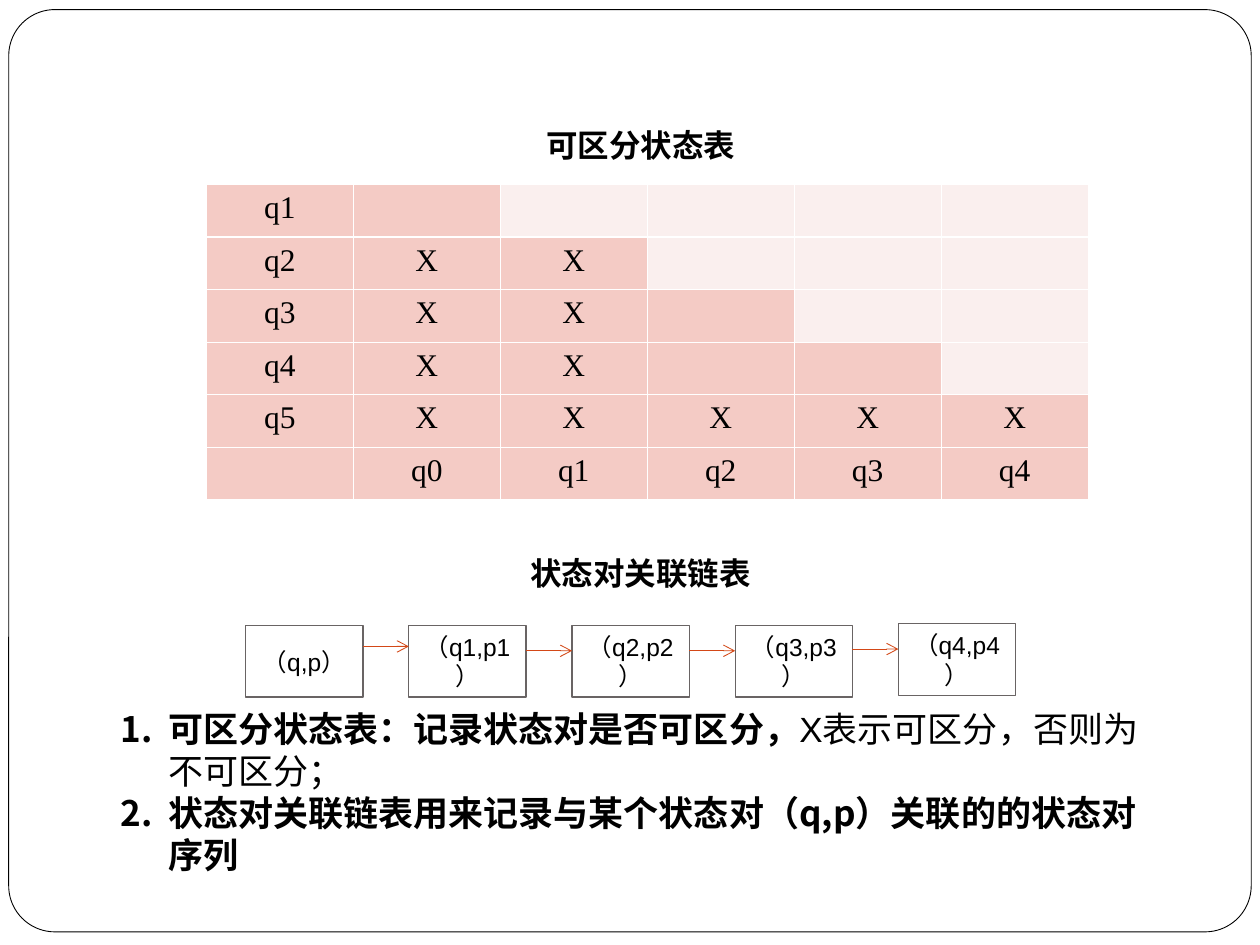
from pptx import Presentation
from pptx.dml.color import RGBColor
from pptx.enum import shapes, text
from pptx.oxml import parse_xml
from pptx.oxml import ns
from pptx.util import Pt

COLORS = {
    "paper": "FFFFFF", "ink": "000000", "marked": "F4CBC5",
    "unmarked": "FAEFEE", "box": "696464", "arrow": "D34817",
}
SANS, SERIF, CJK = "Arial", "Times New Roman", "Noto Sans CJK SC"
STATE_ROWS = [
    ["q1", "", "", "", "", ""],
    ["q2", "X", "X", "", "", ""],
    ["q3", "X", "X", "", "", ""],
    ["q4", "X", "X", "", "", ""],
    ["q5", "X", "X", "X", "X", "X"],
    ["", "q0", "q1", "q2", "q3", "q4"],
]
PAIRS = ["（q,p）", "（q1,p1）", "（q2,p2）", "（q3,p3）", "（q4,p4）"]
NOTES = [
    [("可区分状态表：记录状态对是否可区分，", CJK, True),
     ("X表示可区分，否则为不可区分；", SANS, False)],
    [("状态对关联链表用来记录与某个状态对（q,p）关联的的状态对序列", CJK, True)],
]


def rgb(name):
    return RGBColor.from_string(COLORS[name])


def xml(body):
    return parse_xml(body.replace(">", f" {ns.nsdecls('a')}>", 1)
                     if not body.endswith("/>") or body.count("<") > 1
                     else body.replace("/>", f" {ns.nsdecls('a')}/>"))


def format_run(r, size, name, bold=False):
    r.font.size, r.font.name, r.font.bold = Pt(size), name, bold
    r.font.color.rgb = rgb("ink")
    r.font._element.append(xml(f'<a:ea typeface="{CJK}"/>'))


def set_centered(tf, words, size, name, bold=False):
    tf.text = words
    p = tf.paragraphs[0]
    p.alignment = text.PP_ALIGN.CENTER
    for r in p.runs:
        format_run(r, size, name, bold)


def add_text_box(s, left, top, width, height):
    tf = s.shapes.add_textbox(Pt(left), Pt(top), Pt(width), Pt(height)).text_frame
    tf.word_wrap = True
    tf.auto_size = text.MSO_AUTO_SIZE.SHAPE_TO_FIT_TEXT
    return tf


def add_frame(s, left, top, width, height):
    sp = s.shapes.add_shape(shapes.MSO_SHAPE.ROUNDED_RECTANGLE,
                            Pt(left), Pt(top), Pt(width), Pt(height))
    sp.adjustments[0] = 0.05
    sp.shadow.inherit = False
    sp.fill.solid()
    sp.fill.fore_color.rgb = rgb("paper")
    sp.line.color.rgb = rgb("ink")
    sp.line.width = Pt(0.5)


def add_heading(s, words, left, top, width, height):
    set_centered(add_text_box(s, left, top, width, height), words, 18, SANS, True)


def set_borders(cell, widths):
    """Draw white borders; widths maps L, R, T and B to points."""
    for side, width in widths.items():
        cell._tc.get_or_add_tcPr().append(xml(
            f'<a:ln{side} w="{Pt(width)}"><a:solidFill>'
            f'<a:srgbClr val="{COLORS["paper"]}"/></a:solidFill></a:ln{side}>'))


def add_state_table(s, left, top, width, height):
    """Shade the lower triangle and one cell beyond it in every row."""
    n_rows, n_cols = len(STATE_ROWS), len(STATE_ROWS[0])
    table = s.shapes.add_table(n_rows, n_cols, Pt(left), Pt(top),
                               Pt(width), Pt(height)).table
    table.first_row = table.horz_banding = False
    for i, row in enumerate(STATE_ROWS):
        for j, words in enumerate(row):
            cell = table.cell(i, j)
            set_centered(cell.text_frame, words, 18, SERIF)
            set_borders(cell, {"L": 0.45, "R": 0.45,
                               "T": 1.47 if i == 1 else 0.45,
                               "B": 1.47 if i == 0 else 0.45})
            cell.fill.solid()
            cell.fill.fore_color.rgb = rgb("marked" if j <= i + 1 else "unmarked")


def add_pair(s, words, left, top, width, height):
    sp = s.shapes.add_shape(shapes.MSO_SHAPE.RECTANGLE,
                            Pt(left), Pt(top), Pt(width), Pt(height))
    sp.shadow.inherit = False
    sp.fill.background()
    sp.line.color.rgb = rgb("box")
    sp.line.width = Pt(0.75)
    tf = sp.text_frame
    tf.word_wrap = True
    tf.auto_size = text.MSO_AUTO_SIZE.SHAPE_TO_FIT_TEXT
    set_centered(tf, words, 14, SANS)


def add_arrow(s, x1, x2, y):
    c = s.shapes.add_connector(shapes.MSO_CONNECTOR.STRAIGHT,
                               Pt(x1), Pt(y), Pt(x2), Pt(y))
    c.line.color.rgb = rgb("arrow")
    c.line.width = Pt(0.5)
    c.line._get_or_add_ln().append(xml('<a:tailEnd type="arrow"/>'))
    c._element.spPr.append(xml("<a:effectLst/>"))


def add_pair_chain(s, left, top, width, height):
    box_w = 67
    step = (width - box_w) / (len(PAIRS) - 1)
    lefts = [left + i * step for i in range(len(PAIRS))]
    tops = [top] * (len(PAIRS) - 1) + [top - 0.9]
    for words, x, y in zip(PAIRS, lefts, tops):
        add_pair(s, words, x, y, box_w, height)
    for x, next_x, drop in zip(lefts, lefts[1:], [12, 14.5, 14.5, 13.5]):
        add_arrow(s, x + box_w, next_x, top + drop)


def add_notes_list(s, left, top, width, height):
    tf = add_text_box(s, left, top, width, height)
    indent = Pt(27)
    for i, parts in enumerate(NOTES):
        p = tf.paragraphs[0] if i == 0 else tf.add_paragraph()
        pPr = p._p.get_or_add_pPr()
        pPr.set("marL", str(indent))
        pPr.set("indent", str(-indent))
        pPr.append(xml(f'<a:buClr><a:srgbClr val="{COLORS["ink"]}"/></a:buClr>'))
        pPr.append(xml('<a:buAutoNum type="arabicPeriod"/>'))
        for words, name, bold in parts:
            r = p.add_run()
            r.text = words
            format_run(r, 20, name, bold)


def main():
    prs = Presentation()
    prs.slide_width, prs.slide_height = Pt(720), Pt(540)
    s = prs.slides.add_slide(prs.slide_layouts[6])
    add_frame(s, 5, 5.5, 710, 527)
    add_state_table(s, 117.9, 105.4, 504, 180)
    add_heading(s, "可区分状态表", 197.5, 68.5, 337, 29)
    add_heading(s, "状态对关联链表", 197.5, 313, 337, 29)
    add_pair_chain(s, 140.4, 357.4, 440, 41)
    add_notes_list(s, 62, 400.5, 612, 103.5)
    prs.save("out.pptx")


if __name__ == "__main__":
    main()
